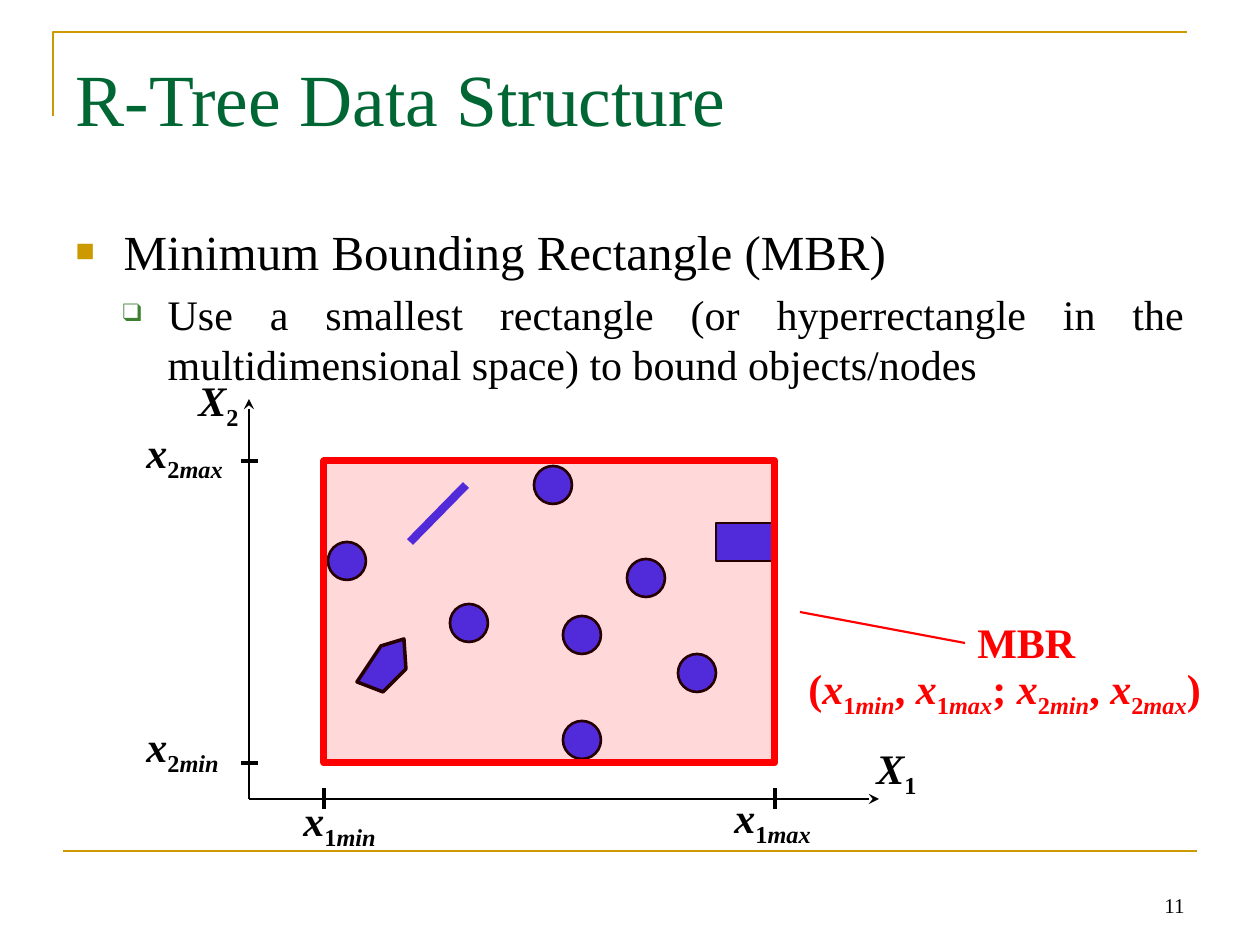
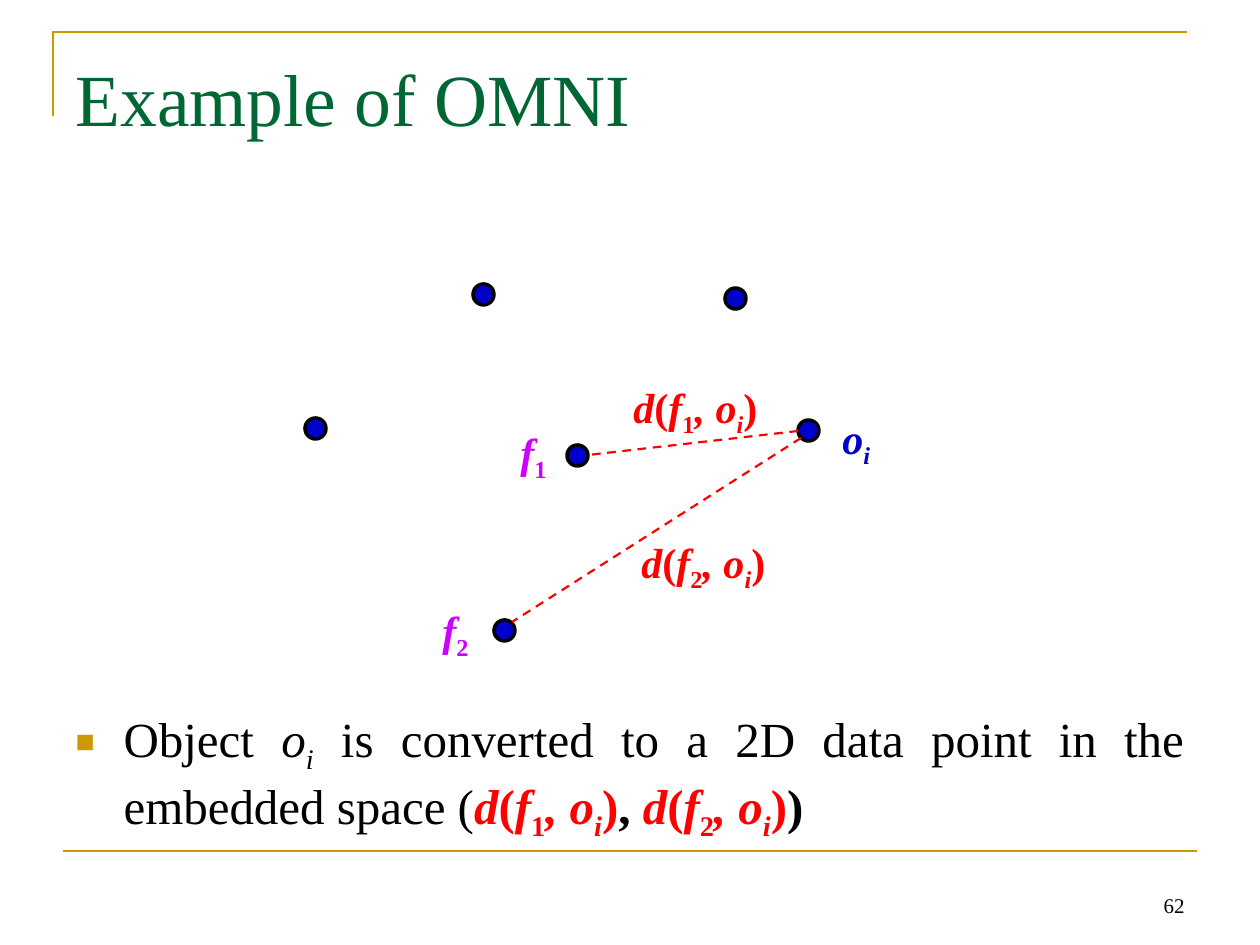
from lxml.etree import SubElement
from pptx import Presentation
from pptx.dml.color import RGBColor
from pptx.enum.dml import MSO_LINE
from pptx.enum.shapes import MSO_CONNECTOR, MSO_SHAPE
from pptx.enum.text import MSO_ANCHOR, MSO_AUTO_SIZE, PP_ALIGN
from pptx.oxml.ns import qn
from pptx.util import Emu, Pt

SCALE = 914400 / 126
FONT = "Times New Roman"
BLACK, RED, GOLD, GREEN = "000000", "FF0000", "CC9900", "006633"
OBJECT_BLUE, POINT_BLUE, FOCUS_PURPLE = "3333FF", "0000CC", "CC00FF"


def variable(letter, index, bound=""):
    parts = [(letter, "bi"), (index, "bs")]
    return parts + [(bound, "bis")] if bound else parts


def distance(focus):
    return [("d", "bi", RED), ("(", "b", RED), ("f", "bi", RED), (focus, "bs", RED),
            (", o", "bi", RED), ("i", "bis", RED), (")", "b", RED)]


FRAME = [(53, 116), (53, 32), (1187, 32)]
FOOTER_RULE = (63, 851, 1197, 851)
TITLE_BOX = (63, 38, 1134, 158)
PAGE_BOX = (903, 861, 294, 63)
LEVELS = [
    dict(size=28, left=48, hang=48, bullet="■", color=GOLD, percent=65),
    dict(size=24, left=92, hang=45, bullet="❑", color="3B812F", percent=60),
]

RTREE = dict(
    title="R-Tree Data Structure", page="11", box=(63, 210, 1134, 624),
    frame=dict(vertical_anchor=MSO_ANCHOR.TOP, margin_top=11),
    body=[
        (0, [("Minimum Bounding Rectangle (MBR)", "")]),
        (1, [("Use a smallest rectangle (or hyperrectangle in the "
              "multidimensional space) to bound objects/nodes", "")]),
    ])
OMNI = dict(
    title="Example of OMNI", page="62", box=(63, 220, 1134, 624),
    frame=dict(vertical_anchor=MSO_ANCHOR.BOTTOM, margin_bottom=2),
    body=[(0, [("Object ", ""), ("o", "i"), ("i", "is"),
               (" is converted to a 2D data point in the embedded space (", ""),
               *distance("1"), (", ", "b"), *distance("2"), (")", "b")])])

DISC_SIZE = 38
DISCS = [(534, 466), (328, 542), (450, 604), (563, 721), (627, 559), (563, 616), (678, 654)]
BLOCK = (716, 523, 57, 38)
SEGMENT = (466, 485, 410, 542)
PENTAGON = [(381, 646), (357, 682), (383, 692), (406, 669), (404, 639)]
MBR = (324, 461, 451, 302)
LEADER = (800, 612, 965, 643)
ORIGIN, X_END, Y_END = (249, 799), 879, 399
RTREE_LABELS = [
    ((965, 610, 125, 63), RED, [("MBR", "b")]),
    ((796, 656, 461, 63), RED,
     [("(", "b"), *variable("x", "1", "min"), (", ", "b"), *variable("x", "1", "max"),
      ("; ", "b"), *variable("x", "2", "min"), (", ", "b"), *variable("x", "2", "max"),
      (")", "b")]),
    ((864, 736, 68, 63), BLACK, variable("X", "1")),
    ((186, 368, 68, 63), BLACK, variable("X", "2")),
    ((291, 788, 107, 63), BLACK, variable("x", "1", "min")),
    ((722, 785, 111, 63), BLACK, variable("x", "1", "max")),
    ((134, 714, 107, 63), BLACK, variable("x", "2", "min")),
    ((134, 420, 111, 63), BLACK, variable("x", "2", "max")),
]

POINT_SIZE = 21
POINTS = [(473, 284), (798, 420), (305, 418), (494, 620), (725, 288), (567, 445)]
DISTANCES = [(798, 431, 588, 455), (801, 438, 512, 622)]
OMNI_LABELS = [
    ((508, 420, 54, 63), FOCUS_PURPLE, variable("f", "1")),
    ((430, 598, 54, 63), FOCUS_PURPLE, variable("f", "2")),
    ((830, 406, 54, 63), POINT_BLUE, [("o", "bi"), ("i", "bis")]),
    ((621, 375, 164, 63), RED, distance("1")),
    ((629, 530, 164, 63), RED, distance("2")),
]


def px(value):
    return Emu(round(value * SCALE))


def rgb(color):
    return RGBColor.from_string(color)


def apply(target, values):
    for key, value in values.items():
        setattr(target, key, px(value) if key.startswith("margin") else value)


def place(shape, box):
    for key, value in zip(("left", "top", "width", "height"), box):
        setattr(shape, key, px(value))


def add_runs(paragraph, runs, size, color):
    for text, flags, *own_color in runs:
        run = paragraph.add_run()
        run.text = text
        apply(run.font, dict(name=FONT, size=Pt(size), bold="b" in flags, italic="i" in flags))
        run.font.color.rgb = rgb(own_color[0] if own_color else color)
        if "s" in flags:
            run._r.get_or_add_rPr().set("baseline", "-25000")


def stroke(shape, color, width):
    shape.line.color.rgb = rgb(color)
    shape.line.width = Pt(width)


def paint(shape, fill, color, width):
    shape.shadow.inherit = False
    if fill:
        shape.fill.solid()
        shape.fill.fore_color.rgb = rgb(fill)
    else:
        shape.fill.background()
    stroke(shape, color, width)


def add_line(slide, ends, color, width, dash=None, arrow=None):
    line = slide.shapes.add_connector(MSO_CONNECTOR.STRAIGHT, *map(px, ends))
    stroke(line, color, width)
    if dash:
        line.line.dash_style = dash
    if arrow:
        SubElement(line.line._get_or_add_ln(), qn("a:tailEnd"), type=arrow)
    SubElement(line._element.spPr, qn("a:effectLst"))


def add_preset(slide, preset, box, fill, color, width):
    shape = slide.shapes.add_shape(preset, *map(px, box))
    paint(shape, fill, color, width)
    return shape


def add_outline(slide, points, close, fill, color, width):
    builder = slide.shapes.build_freeform(*points[0], scale=SCALE)
    builder.add_line_segments(points[1:], close=close)
    paint(builder.convert_to_shape(), fill, color, width)


def add_text(slide, box, runs, size, color, align=PP_ALIGN.LEFT, **frame_values):
    frame = slide.shapes.add_textbox(*map(px, box)).text_frame
    apply(frame, frame_values)
    frame.paragraphs[0].alignment = align
    add_runs(frame.paragraphs[0], runs, size, color)


def add_labels(slide, labels):
    for box, color, runs in labels:
        add_text(slide, box, runs, 24, color,
                 word_wrap=False, auto_size=MSO_AUTO_SIZE.SHAPE_TO_FIT_TEXT)


def format_item(paragraph, level, first):
    style = LEVELS[level]
    apply(paragraph, dict(level=level, alignment=PP_ALIGN.JUSTIFY,
                          space_before=Pt(0 if first else style["size"] * 0.2)))
    properties = paragraph._p.get_or_add_pPr()
    properties.set("marL", str(px(style["left"])))
    properties.set("indent", str(-px(style["hang"])))
    SubElement(SubElement(properties, qn("a:buClr")), qn("a:srgbClr"), val=style["color"])
    SubElement(properties, qn("a:buSzPct"), val=str(style["percent"] * 1000))
    SubElement(properties, qn("a:buFont"), typeface=FONT)
    SubElement(properties, qn("a:buChar"), char=style["bullet"])


def start_slide(deck, content):
    slide = deck.slides.add_slide(deck.slide_layouts[1])
    add_outline(slide, FRAME, False, None, GOLD, 1.5)
    add_line(slide, FOOTER_RULE, GOLD, 1.5)

    title, body = slide.shapes.title, slide.placeholders[1]
    place(title, TITLE_BOX)
    apply(title.text_frame, dict(vertical_anchor=MSO_ANCHOR.TOP, margin_top=15,
                                 auto_size=MSO_AUTO_SIZE.NONE))
    heading = title.text_frame.paragraphs[0]
    heading.alignment = PP_ALIGN.LEFT
    add_runs(heading, [(content["title"], "")], 42, GREEN)

    place(body, content["box"])
    apply(body.text_frame, dict(content["frame"], auto_size=MSO_AUTO_SIZE.NONE))
    for number, (level, runs) in enumerate(content["body"]):
        item = body.text_frame.add_paragraph() if number else body.text_frame.paragraphs[0]
        format_item(item, level, number == 0)
        add_runs(item, runs, LEVELS[level]["size"], BLACK)

    add_text(slide, PAGE_BOX, [(content["page"], "")], 12, BLACK, PP_ALIGN.RIGHT,
             word_wrap=True, vertical_anchor=MSO_ANCHOR.BOTTOM)
    return slide


def build_rtree(deck):
    slide = start_slide(deck, RTREE)
    for left, top in DISCS:
        add_preset(slide, MSO_SHAPE.OVAL, (left, top, DISC_SIZE, DISC_SIZE),
                   OBJECT_BLUE, BLACK, 1.5)
    add_preset(slide, MSO_SHAPE.RECTANGLE, BLOCK, OBJECT_BLUE, BLACK, 1.5)
    add_line(slide, SEGMENT, OBJECT_BLUE, 4.75)
    add_outline(slide, PENTAGON, True, OBJECT_BLUE, BLACK, 2)

    bounds = add_preset(slide, MSO_SHAPE.RECTANGLE, MBR, RED, RED, 4)
    tint = bounds._element.spPr.find(qn("a:solidFill"))[0]
    SubElement(tint, qn("a:alpha"), val="15000")
    add_line(slide, LEADER, RED, 1.25)

    add_line(slide, (*ORIGIN, X_END, ORIGIN[1]), BLACK, 1.5, arrow="stealth")
    add_line(slide, (*ORIGIN, ORIGIN[0], Y_END), BLACK, 1.5, arrow="stealth")
    left, top, width, height = MBR
    for x in (left, left + width):
        add_line(slide, (x, 788, x, 809), BLACK, 2)
    for y in (top, top + height):
        add_line(slide, (258, y, 241, y), BLACK, 2)
    add_labels(slide, RTREE_LABELS)


def build_omni(deck):
    slide = start_slide(deck, OMNI)
    for left, top in POINTS:
        add_preset(slide, MSO_SHAPE.OVAL, (left, top, POINT_SIZE, POINT_SIZE),
                   POINT_BLUE, BLACK, 2)
    for ends in DISTANCES:
        add_line(slide, ends, RED, 1.25, dash=MSO_LINE.DASH)
    add_labels(slide, OMNI_LABELS)


def main():
    deck = Presentation()
    apply(deck, dict(slide_width=px(1260), slide_height=px(945)))
    build_rtree(deck)
    build_omni(deck)
    deck.save("out.pptx")


if __name__ == "__main__":
    main()
